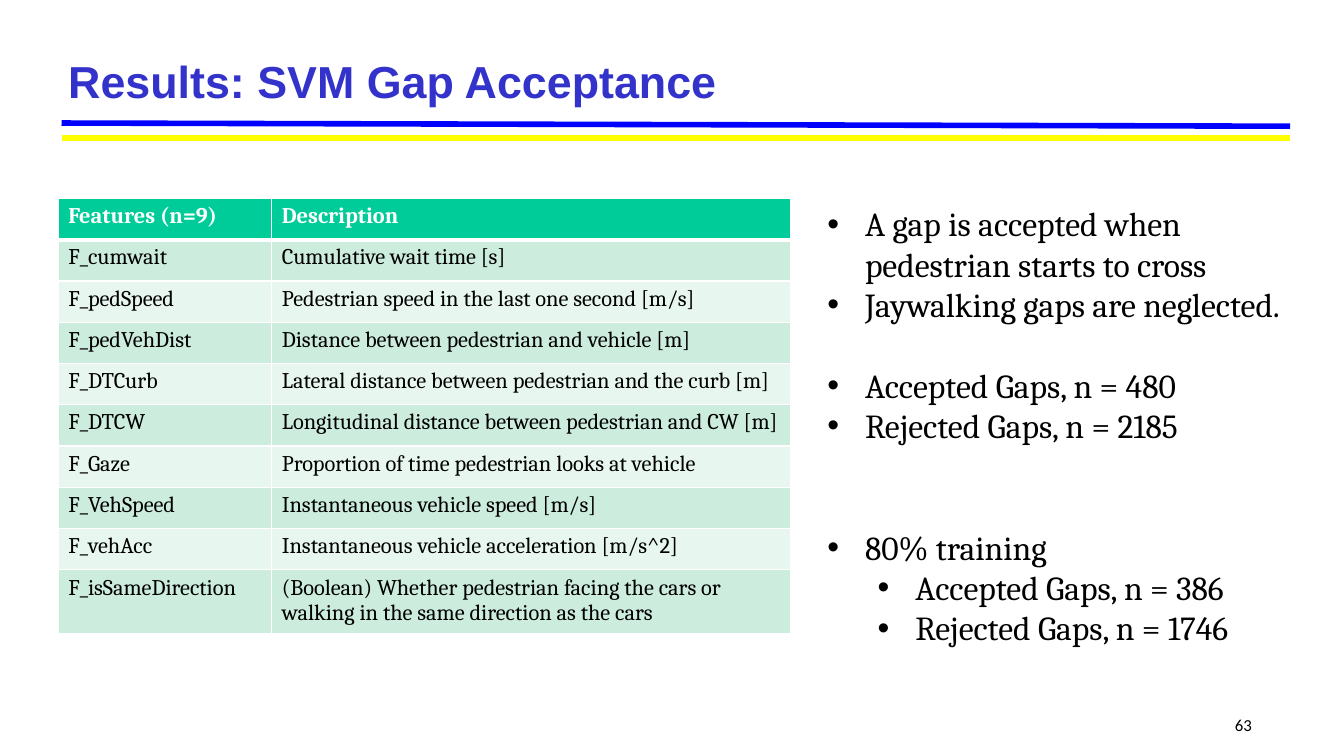
"""Build the slide on SVM gap acceptance results."""
import pptx
import pptx.dml.color
import pptx.enum.shapes
import pptx.enum.text
import pptx.oxml
import pptx.oxml.ns
import pptx.util
import lxml.etree

Cm = pptx.util.Cm
Pt = pptx.util.Pt
qn = pptx.oxml.ns.qn

ROWS = [
    ("Features (n=9)", "Description"),
    ("F_cumwait", "Cumulative wait time [s]"),
    ("F_pedSpeed", "Pedestrian speed in the last one second [m/s]"),
    ("F_pedVehDist", "Distance between pedestrian and vehicle [m]"),
    ("F_DTCurb", "Lateral distance between pedestrian and the curb [m]"),
    ("F_DTCW", "Longitudinal distance between pedestrian and CW [m]"),
    ("F_Gaze", "Proportion of time pedestrian looks at vehicle"),
    ("F_VehSpeed", "Instantaneous vehicle speed [m/s]"),
    ("F_vehAcc", "Instantaneous vehicle acceleration [m/s^2]"),
    ("F_isSameDirection", "(Boolean) Whether pedestrian facing the cars or "
                          "walking in the same direction as the cars"),
]
NOTES = [
    ("A gap is accepted when pedestrian starts to cross", 0, 0),
    ("Jaywalking gaps are neglected.", 0, 0),
    ("Accepted Gaps, n = 480", 0, 29),
    ("Rejected Gaps, n = 2185", 0, 0),
    ("80% training", 0, 58),
    ("Accepted Gaps, n = 386", 1, 0),
    ("Rejected Gaps, n = 1746", 1, 0),
]


def color(code):
    """Turn a hex string into a colour."""
    return pptx.dml.color.RGBColor.from_string(code)


def style(para, name, size, code="000000", bold=False):
    """Set the font of a paragraph."""
    font = para.font
    font.name, font.size, font.bold = name, Pt(size), bold
    font.color.rgb = color(code)


def add_box(slide, left, top, width, height):
    """Add a wrapping text box and return its frame."""
    box = slide.shapes.add_textbox(Cm(left), Cm(top), Cm(width), Cm(height))
    box.text_frame.word_wrap = True
    return box.text_frame


def add_rule(slide, start, end, code):
    """Add a thick rule across the slide."""
    kind = pptx.enum.shapes.MSO_CONNECTOR.STRAIGHT
    rule = slide.shapes.add_connector(
        kind, Cm(1.55), Cm(start), Cm(32.51), Cm(end))
    rule.line.color.rgb = color(code)
    rule.line.width = Pt(4)
    lxml.etree.SubElement(rule._element.spPr, qn("a:effectLst"))


def add_edge(cell, side, width):
    """Draw one white border of a cell."""
    props = cell._tc.get_or_add_tcPr()
    line = lxml.etree.SubElement(props, qn("a:ln" + side), w=str(Pt(width)))
    fill = lxml.etree.SubElement(line, qn("a:solidFill"))
    lxml.etree.SubElement(fill, qn("a:srgbClr"), val="FFFFFF")


def add_grid(slide):
    """Add the table of features."""
    grid = slide.shapes.add_table(
        len(ROWS), 2, Cm(1.47), Cm(5), Cm(18.46), Cm(10.4)).table
    for col, width in zip(grid.columns, (5.38, 13.08)):
        col.width = Cm(width)
    for row, texts in enumerate(ROWS):
        grid.rows[row].height = Cm(1.04)
        head = row == 0
        back = "00CC99" if head else ("E7F6EF", "CCECDE")[row % 2]
        for col, text in enumerate(texts):
            cell = grid.cell(row, col)
            cell.text = text
            style(cell.text_frame.paragraphs[0], "Cambria", 16,
                  "FFFFFF" if head else "000000", head)
            for side in "LRTB":
                thick = (head and side == "B") or (row == 1 and side == "T")
                add_edge(cell, side, 3 if thick else 1)
            cell.fill.solid()
            cell.fill.fore_color.rgb = color(back)


def add_list(slide):
    """Add the bullet list."""
    frame = add_box(slide, 20.6, 5, 12.47, 11.53)
    for place, (text, level, gap) in enumerate(NOTES):
        para = frame.add_paragraph() if place else frame.paragraphs[0]
        para.text, para.level, para.space_before = text, level, Pt(gap)
        style(para, "Cambria", 24)
        props = para._p.get_or_add_pPr()
        props.set("marL", str(Cm(0.95 + 1.27 * level)))
        props.set("indent", str(Cm(-0.95)))
        lxml.etree.SubElement(props, qn("a:buFont"), typeface="Arial")
        lxml.etree.SubElement(props, qn("a:buChar"), char="•")
        props.append(props.find(qn("a:defRPr")))


def add_title(slide):
    """Add the heading."""
    frame = add_box(slide, 1.47, 1.27, 31.04, 1.5)
    frame.vertical_anchor = pptx.enum.text.MSO_ANCHOR.MIDDLE
    frame.text = "Results: SVM Gap Acceptance"
    style(frame.paragraphs[0], "Arial", 32, "3333CC", True)


def add_page(slide):
    """Add the page number."""
    frame = add_box(slide, 30.73, 17.88, 1.07, 0.66)
    frame.text = "63"
    para = frame.paragraphs[0]
    para.alignment = pptx.enum.text.PP_ALIGN.RIGHT
    style(para, "Calibri", 12)


def main():
    """Build and save the deck."""
    deck = pptx.Presentation()
    deck.slide_width, deck.slide_height = Cm(33.87), Cm(19.05)
    slide = deck.slides.add_slide(deck.slide_layouts[6])
    add_rule(slide, 3.1, 3.18, "0000FF")
    add_rule(slide, 3.48, 3.48, "FFFF00")
    add_title(slide)
    add_grid(slide)
    add_page(slide)
    add_list(slide)
    deck.save("out.pptx")


if __name__ == "__main__":
    main()
